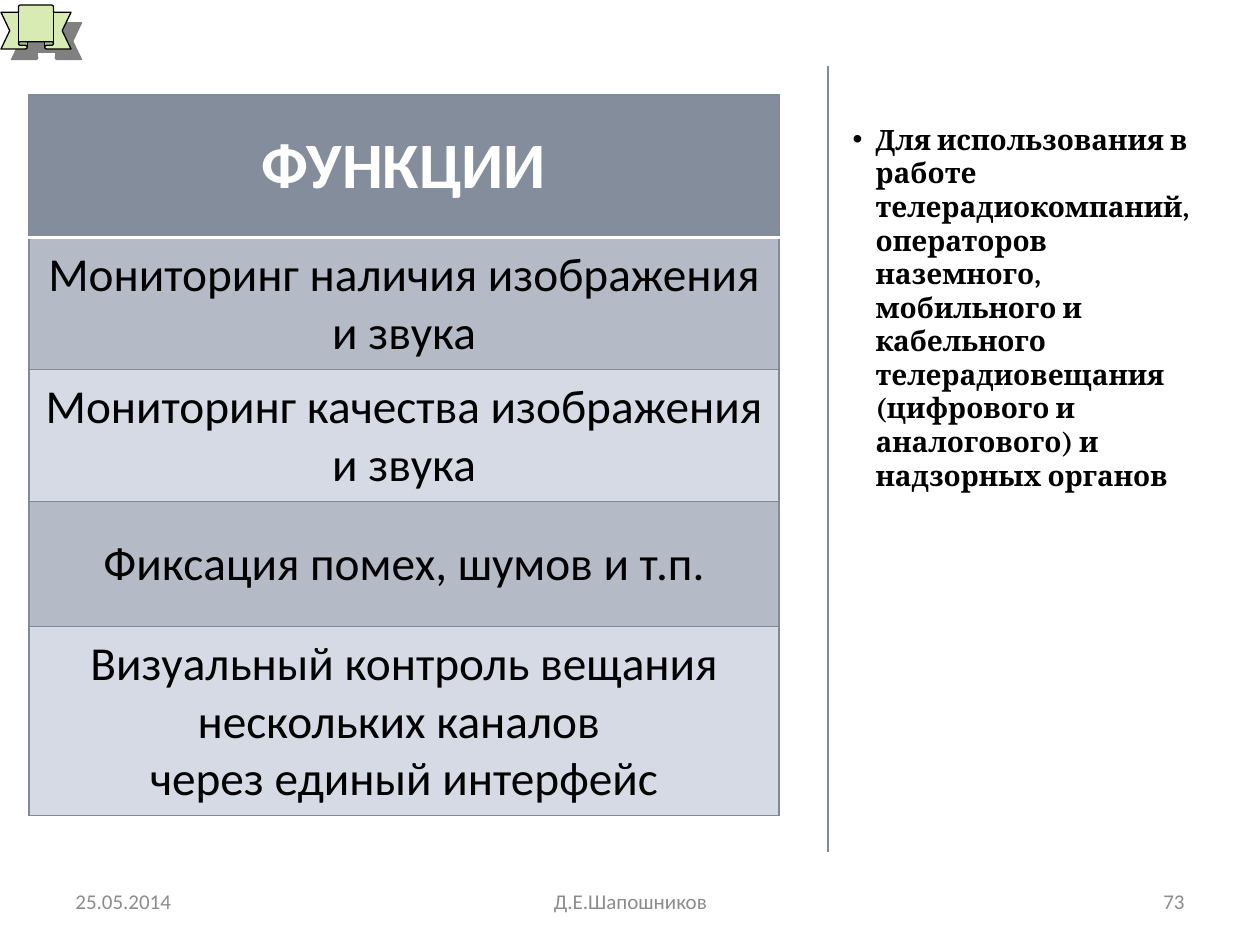
"""Build the slide listing broadcast monitoring functions and their users."""
from lxml import etree
from pptx import Presentation
from pptx import util as u
from pptx.dml.color import RGBColor
from pptx.enum import shapes, text
from pptx.oxml.ns import qn

PX = 914400 / 126
COLORS = {"header": "838D9B", "dark": "B4BAC6", "light": "D5DAE4",
          "rule": "808A98", "ribbon": "D8EBB3", "shadow": "808080",
          "footer": "8C8C8C", "black": "000000", "white": "FFFFFF"}
HEADER = "ФУНКЦИИ"
FUNCTIONS = [
    "Мониторинг наличия изображения и звука",
    "Мониторинг качества изображения и звука",
    "Фиксация помех, шумов и т.п.",
    "Визуальный контроль вещания нескольких каналов \nчерез единый интерфейс",
]
ROW_HEIGHTS = [143, 132, 132, 125, 189]
AUDIENCE = ("Для использования в работе телерадиокомпаний, операторов наземного, "
            "мобильного и кабельного телерадиовещания (цифрового и аналогового) "
            "и надзорных органов")
FOOTERS = [
    ("25.05.2014", 63, 294, text.PP_ALIGN.LEFT),
    ("Д.Е.Шапошников", 431, 399, text.PP_ALIGN.CENTER),
    ("73", 903, 294, text.PP_ALIGN.RIGHT),
]


def px(n):
    return u.Emu(round(n * PX))


def box(*lengths):
    return [px(n) for n in lengths]


def rgb(name):
    return RGBColor.from_string(COLORS[name])


def style(p, size, color, bold=False, font="Calibri", align=None):
    p.alignment = align
    for r in p.runs:
        r.font.size, r.font.name, r.font.bold = u.Pt(size), font, bold
        r.font.color.rgb = rgb(color)


def add_ribbon(s):
    sp = s.shapes.add_shape(shapes.MSO_SHAPE.UP_RIBBON, *box(1, 5, 70, 44))
    sp.fill.solid()
    sp.fill.fore_color.rgb = rgb("ribbon")
    sp.line.color.rgb = rgb("black")
    sp.line.width = u.Pt(0.75)
    sp.shadow.inherit = False
    effects = sp._element.spPr.find(qn("a:effectLst"))
    shadow = etree.SubElement(effects, qn("a:outerShdw"), dist=str(u.Pt(8.5)),
                              dir="2700000", algn="ctr", rotWithShape="0")
    etree.SubElement(shadow, qn("a:srgbClr"), val=COLORS["shadow"])


def add_divider(s):
    line = s.shapes.add_connector(shapes.MSO_CONNECTOR.STRAIGHT, *box(828, 66, 828, 852))
    line.line.color.rgb = rgb("rule")
    line.line.width = u.Pt(0.75)
    etree.SubElement(line._element.spPr, qn("a:effectLst"))


def set_borders(cell, **white):
    tcPr = cell._tc.get_or_add_tcPr()
    for i, side in enumerate("LRTB"):
        color, width = ("white", 2) if side in white else ("rule", 0.75)
        ln = etree.Element(qn("a:ln" + side), w=str(u.Pt(width)))
        fill = etree.SubElement(ln, qn("a:solidFill"))
        etree.SubElement(fill, qn("a:srgbClr"), val=COLORS[color])
        tcPr.insert(i, ln)


def add_functions(s):
    rows = [HEADER] + FUNCTIONS
    table = s.shapes.add_table(len(rows), 1, *box(29, 95, 750, sum(ROW_HEIGHTS))).table
    for i, (words, height) in enumerate(zip(rows, ROW_HEIGHTS)):
        table.rows[i].height = px(height)
        cell = table.cell(i, 0)
        cell.text_frame.text = words
        cell.vertical_anchor = text.MSO_ANCHOR.MIDDLE
        cell.margin_left = cell.margin_right = px(13)
        cell.margin_top = cell.margin_bottom = px(9)
        cell.fill.solid()
        cell.fill.fore_color.rgb = rgb("header" if i == 0 else "dark" if i % 2 else "light")
        set_borders(cell, **({"B": True} if i == 0 else {"T": True} if i == 1 else {}))
        size, color = (37, "white") if i == 0 else (27, "black")
        for p in cell.text_frame.paragraphs:
            style(p, size, color, bold=i == 0, align=text.PP_ALIGN.CENTER)


def add_audience(s):
    body = s.placeholders[1]
    body.left, body.top, body.width, body.height = box(838, 116, 392, 729)
    tf = body.text_frame
    tf.text = AUDIENCE
    tf.word_wrap = True
    tf.auto_size = text.MSO_AUTO_SIZE.NONE
    tf.vertical_anchor = text.MSO_ANCHOR.TOP
    p = tf.paragraphs[0]
    pPr = p._p.get_or_add_pPr()
    pPr.set("marL", str(px(25)))
    pPr.set("indent", str(-px(23)))
    etree.SubElement(pPr, qn("a:buFont"), typeface="Arial")
    etree.SubElement(pPr, qn("a:buChar"), char="•")
    p.space_before = u.Pt(0)
    style(p, 16, "black", bold=True, font="Cambria", align=text.PP_ALIGN.LEFT)


def add_footers(s):
    for words, left, width, align in FOOTERS:
        tf = s.shapes.add_textbox(*box(left, 876, width, 50)).text_frame
        tf.word_wrap = True
        tf.vertical_anchor = text.MSO_ANCHOR.MIDDLE
        tf.text = words
        style(tf.paragraphs[0], 12, "footer", align=align)


def main():
    prs = Presentation()
    prs.slide_width, prs.slide_height = box(1260, 945)
    s = prs.slides.add_slide(prs.slide_layouts[1])
    title = s.shapes.title._element
    title.getparent().remove(title)
    add_ribbon(s)
    add_divider(s)
    add_audience(s)
    add_footers(s)
    add_functions(s)
    prs.save("out.pptx")


if __name__ == "__main__":
    main()
